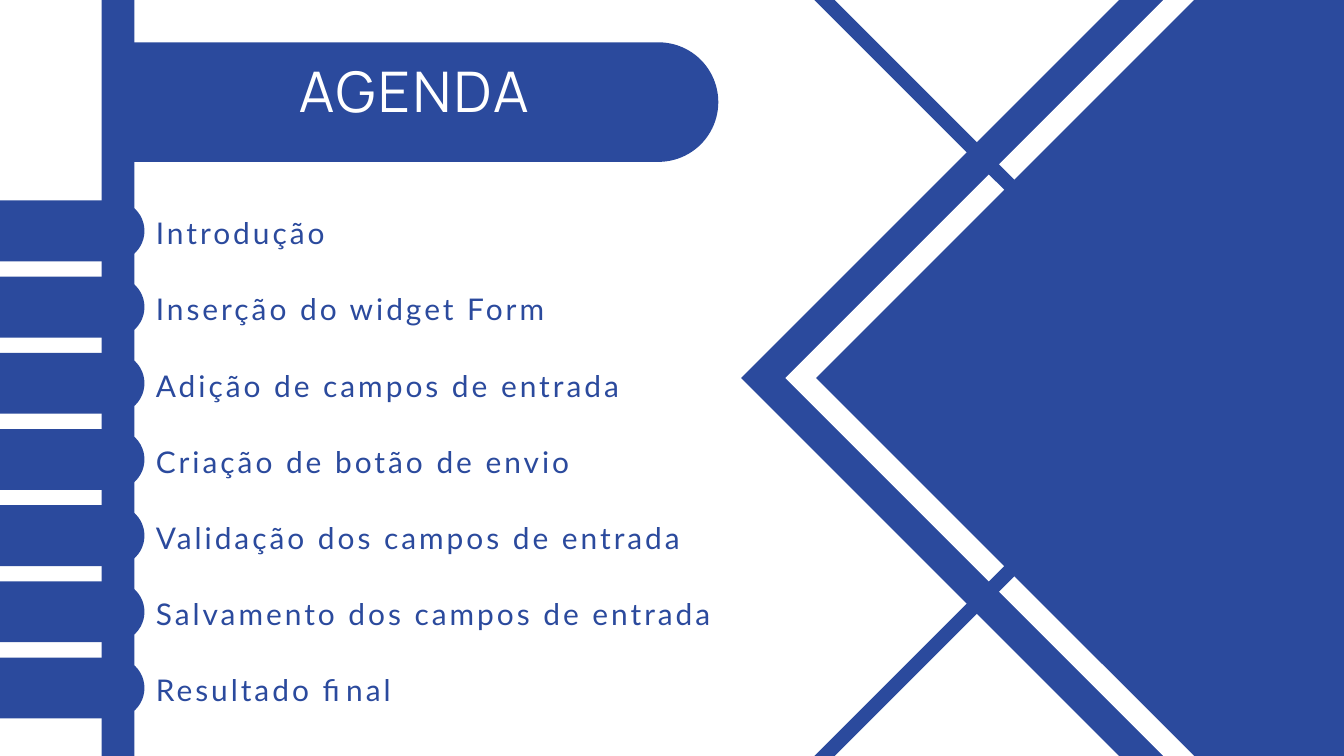
from dataclasses import dataclass

from pptx import Presentation
from pptx.dml.color import RGBColor
from pptx.enum.shapes import MSO_SHAPE
from pptx.enum.text import MSO_AUTO_SIZE, PP_ALIGN
from pptx.slide import Slide
from pptx.util import Cm, Pt

COLORS = {"blue": "2B4A9D", "white": "FFFFFF"}
WIDTH, HEIGHT = 50.8, 28.58
MIDDLE = HEIGHT / 2
TOPICS = [
    ("Introdução", 20.4),
    ("Inserção do widget Form", 20.4),
    ("Adição de campos de entrada", 20.4),
    ("Criação de botão de envio", 20.4),
    ("Validação dos campos de entrada", 22.56),
    ("Salvamento dos campos de entrada", 22.56),
    ("Resultado final", 22.56),
]
TOPIC_STEP = 2.88
TEXT_LEFT = 5.89
TEXT_STYLES = {
    "title": {"font": "Manrope", "size": 60, "color": "white",
              "line": 63, "tracking": 300, "align": PP_ALIGN.CENTER},
    "topic": {"font": "Lato", "size": 32, "color": "blue",
              "line": 44.8, "tracking": 320, "align": PP_ALIGN.LEFT},
}


@dataclass
class AgendaSlide:
    """Draws the elements of the agenda in one shared style."""

    slide: Slide
    frame_ratio: float = 0.0314

    def block(self, kind, center, size, color="blue", rotation=0, adjustments=()):
        (x, y), (width, height) = center, size
        shape = self.slide.shapes.add_shape(
            kind, Cm(x - width / 2), Cm(y - height / 2), Cm(width), Cm(height))
        shape.rotation = rotation
        shape.shadow.inherit = False
        shape.fill.solid()
        shape.fill.fore_color.rgb = RGBColor.from_string(COLORS[color])
        shape.line.fill.background()
        for index, value in enumerate(adjustments):
            shape.adjustments[index] = value

    def diamond(self, center, side):
        self.block(MSO_SHAPE.RECTANGLE, center, (side, side), rotation=315)

    def diamond_frame(self, center, side, color):
        self.block(MSO_SHAPE.FRAME, center, (side, side), color, 45, [self.frame_ratio])

    def tab(self, center, length, thickness):
        self.block(MSO_SHAPE.ROUND_2_SAME_RECTANGLE, center, (thickness, length),
                   rotation=90, adjustments=[0.5, 0])

    def text(self, words, left, top, width, height, style_name):
        style = TEXT_STYLES[style_name]
        box = self.slide.shapes.add_textbox(Cm(left), Cm(top), Cm(width), Cm(height))
        frame = box.text_frame
        frame_format = {"word_wrap": True, "auto_size": MSO_AUTO_SIZE.SHAPE_TO_FIT_TEXT,
                        "margin_left": 0, "margin_right": 0,
                        "margin_top": 0, "margin_bottom": 0}
        for name, value in frame_format.items():
            setattr(frame, name, value)
        paragraph = frame.paragraphs[0]
        paragraph.alignment = style["align"]
        paragraph.line_spacing = Pt(style["line"])
        run = paragraph.add_run()
        run.text = words
        for name, value in {"name": style["font"], "size": Pt(style["size"])}.items():
            setattr(run.font, name, value)
        run.font.color.rgb = RGBColor.from_string(COLORS[style["color"]])
        run._r.get_or_add_rPr().set("spc", str(style["tracking"]))


def main():
    presentation = Presentation()
    presentation.slide_width, presentation.slide_height = Cm(WIDTH), Cm(HEIGHT)
    agenda = AgendaSlide(presentation.slides.add_slide(presentation.slide_layouts[6]))

    agenda.block(MSO_SHAPE.RECTANGLE, (4.46, MIDDLE), (1.24, HEIGHT))
    agenda.diamond((48, MIDDLE), 28.27)
    agenda.diamond_frame((48.13, MIDDLE), 26.09, "white")
    for offset in (16.62, -16.62):
        agenda.diamond_frame((40.56, MIDDLE + offset), 17.12, "blue")

    agenda.tab((16.1, 3.86), 22.1, 4.52)
    agenda.text("AGENDA", TEXT_LEFT, 2.44, 19.51, 2.49, "title")
    for index, (topic, width) in enumerate(TOPICS):
        offset = index * TOPIC_STEP
        agenda.tab((2.73, 8.73 + offset), 5.46, 2.3)
        agenda.text(topic, TEXT_LEFT, 7.9 + offset, width, 1.52, "topic")

    presentation.save("out.pptx")


if __name__ == "__main__":
    main()
